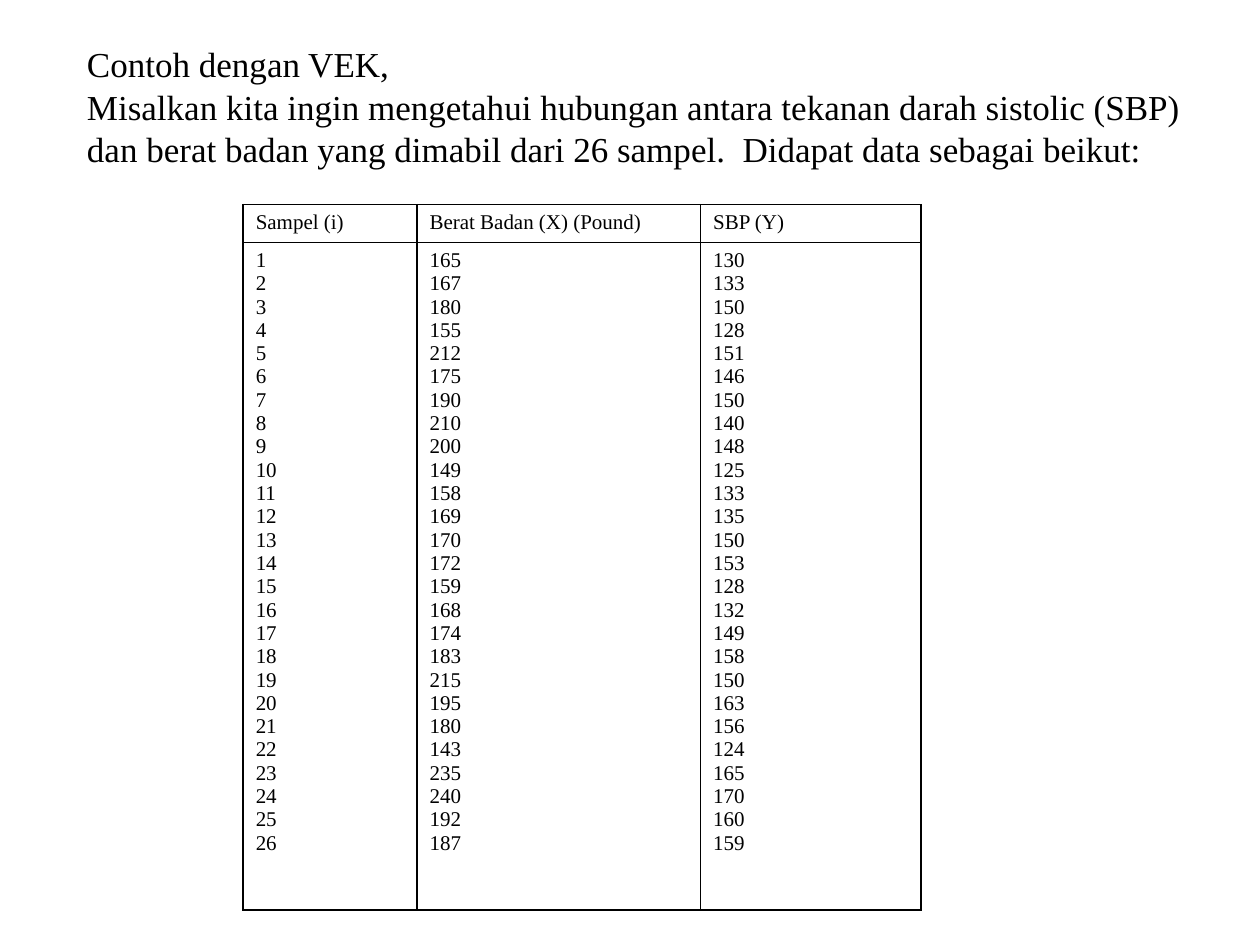
from dataclasses import dataclass

from lxml import etree
from pptx import Presentation
from pptx import util as u
from pptx.dml.color import RGBColor
from pptx.enum import text
from pptx.oxml.ns import qn


@dataclass(frozen=True)
class Theme:
    """Colours, font, and type sizes with their line pitches in points."""
    font: str = "Times New Roman"
    ink: str = "000000"
    paper: str = "FFFFFF"
    title: tuple = (20, 24.3)
    body: tuple = (12, 13.33)
    border: float = 1


THEME = Theme()
WIDTH, HEIGHT = 10, 7.5
INTRO = (
    "Contoh dengan VEK,",
    "Misalkan kita ingin mengetahui hubungan antara tekanan darah sistolic (SBP) ",
    "dan berat badan yang dimabil dari 26 sampel.  Didapat data sebagai beikut:",
)
HEADERS = ("Sampel (i)", "Berat Badan (X) (Pound)", "SBP (Y)")
WEIGHTS = (165, 167, 180, 155, 212, 175, 190, 210, 200, 149, 158, 169, 170,
           172, 159, 168, 174, 183, 215, 195, 180, 143, 235, 240, 192, 187)
PRESSURES = (130, 133, 150, 128, 151, 146, 150, 140, 148, 125, 133, 135, 150,
             153, 128, 132, 149, 158, 150, 163, 156, 124, 165, 170, 160, 159)
COLUMNS = (1.38, 2.25, 1.75)
ROWS = (0.3, 5.3)


def write(tf, lines, style):
    """Write one left-aligned paragraph for each line in the given style."""
    size, pitch = style
    tf.text = "\n".join(str(line) for line in lines)
    for p in tf.paragraphs:
        p.alignment = text.PP_ALIGN.LEFT
        p.line_spacing = u.Pt(pitch)
        for r in p.runs:
            r.font.name = THEME.font
            r.font.size = u.Pt(size)
            r.font.bold = False
            r.font.color.rgb = RGBColor.from_string(THEME.ink)


def add_title(s, lines):
    """Place the introduction in the title placeholder."""
    sp = s.shapes.title
    sp.left, sp.top = u.Inches(0.059 * WIDTH), u.Inches(0.038 * HEIGHT)
    sp.width, sp.height = u.Inches(0.907 * WIDTH), u.Inches(0.15 * HEIGHT)
    tf = sp.text_frame
    write(tf, lines, THEME.title)
    tf.word_wrap = False
    tf.auto_size = text.MSO_AUTO_SIZE.NONE
    tf.vertical_anchor = text.MSO_ANCHOR.TOP


def set_borders(cell):
    """Draw a solid line on all four sides of a cell."""
    tc_pr = cell._tc.get_or_add_tcPr()
    for i, side in enumerate(("lnL", "lnR", "lnT", "lnB")):
        ln = etree.Element(qn(f"a:{side}"), w=str(u.Pt(THEME.border)))
        fill = etree.SubElement(ln, qn("a:solidFill"))
        etree.SubElement(fill, qn("a:srgbClr"), val=THEME.ink)
        tc_pr.insert(i, ln)


def add_data_table(s, headers, columns):
    """Add a header row above one tall row that lists each column's values."""
    frame = s.shapes.add_table(
        len(ROWS), len(COLUMNS), u.Inches(0.193 * WIDTH),
        u.Inches(0.2165 * HEIGHT), u.Inches(sum(COLUMNS)), u.Inches(sum(ROWS)))
    table = frame.table
    table.first_row = table.horz_banding = False
    for row, height in zip(table.rows, ROWS):
        row.height = u.Inches(height)
    for c, width in enumerate(COLUMNS):
        table.columns[c].width = u.Inches(width)
        for r, lines in enumerate(([headers[c]], columns[c])):
            cell = table.cell(r, c)
            write(cell.text_frame, lines, THEME.body)
            cell.fill.background()
            set_borders(cell)


def main():
    """Build the slide and save it."""
    prs = Presentation()
    prs.slide_width, prs.slide_height = u.Inches(WIDTH), u.Inches(HEIGHT)
    s = prs.slides.add_slide(prs.slide_layouts.get_by_name("Title Only"))
    s.background.fill.solid()
    s.background.fill.fore_color.rgb = RGBColor.from_string(THEME.paper)
    add_title(s, INTRO)
    samples = range(1, len(WEIGHTS) + 1)
    add_data_table(s, HEADERS, (samples, WEIGHTS, PRESSURES))
    prs.save("out.pptx")


main()
